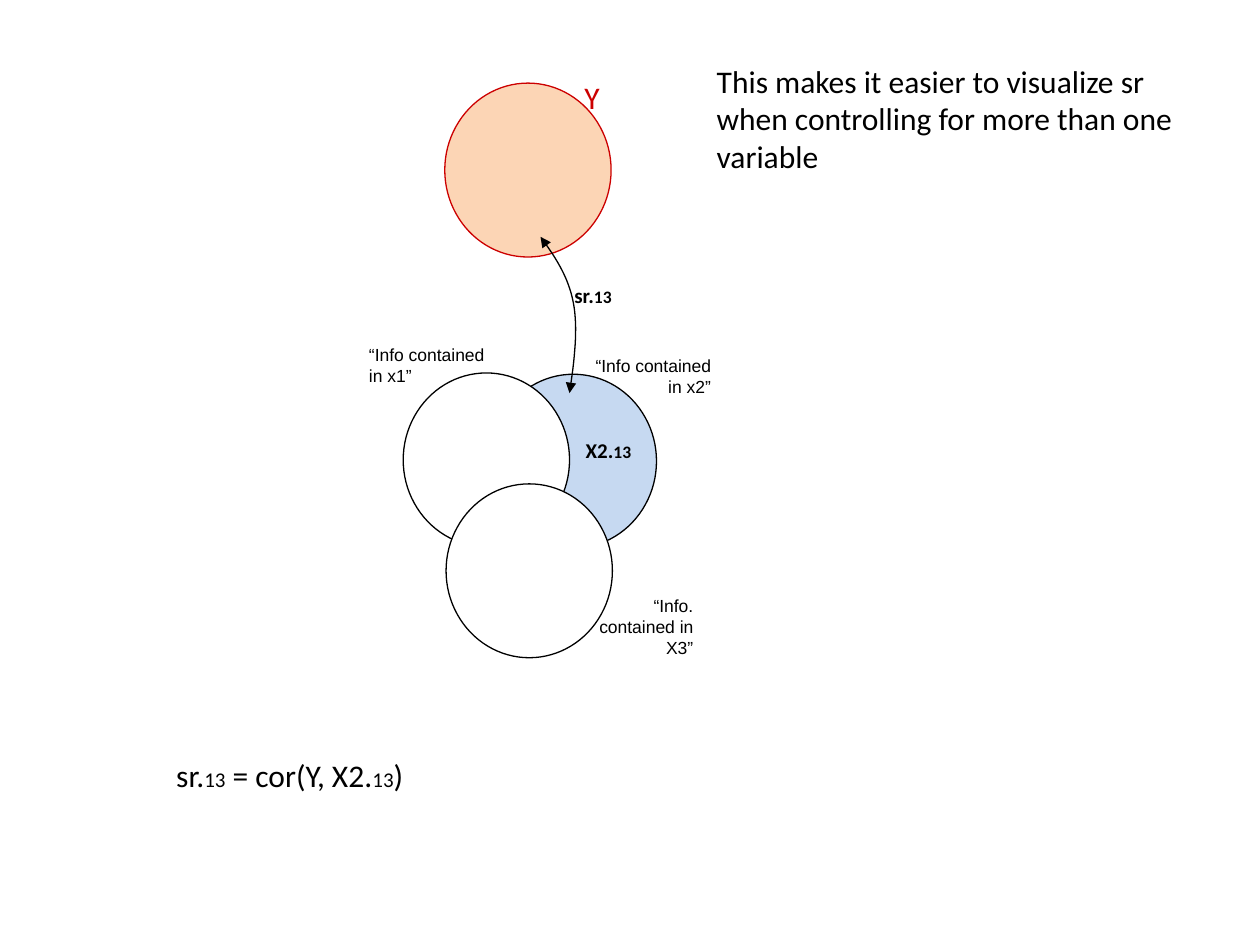
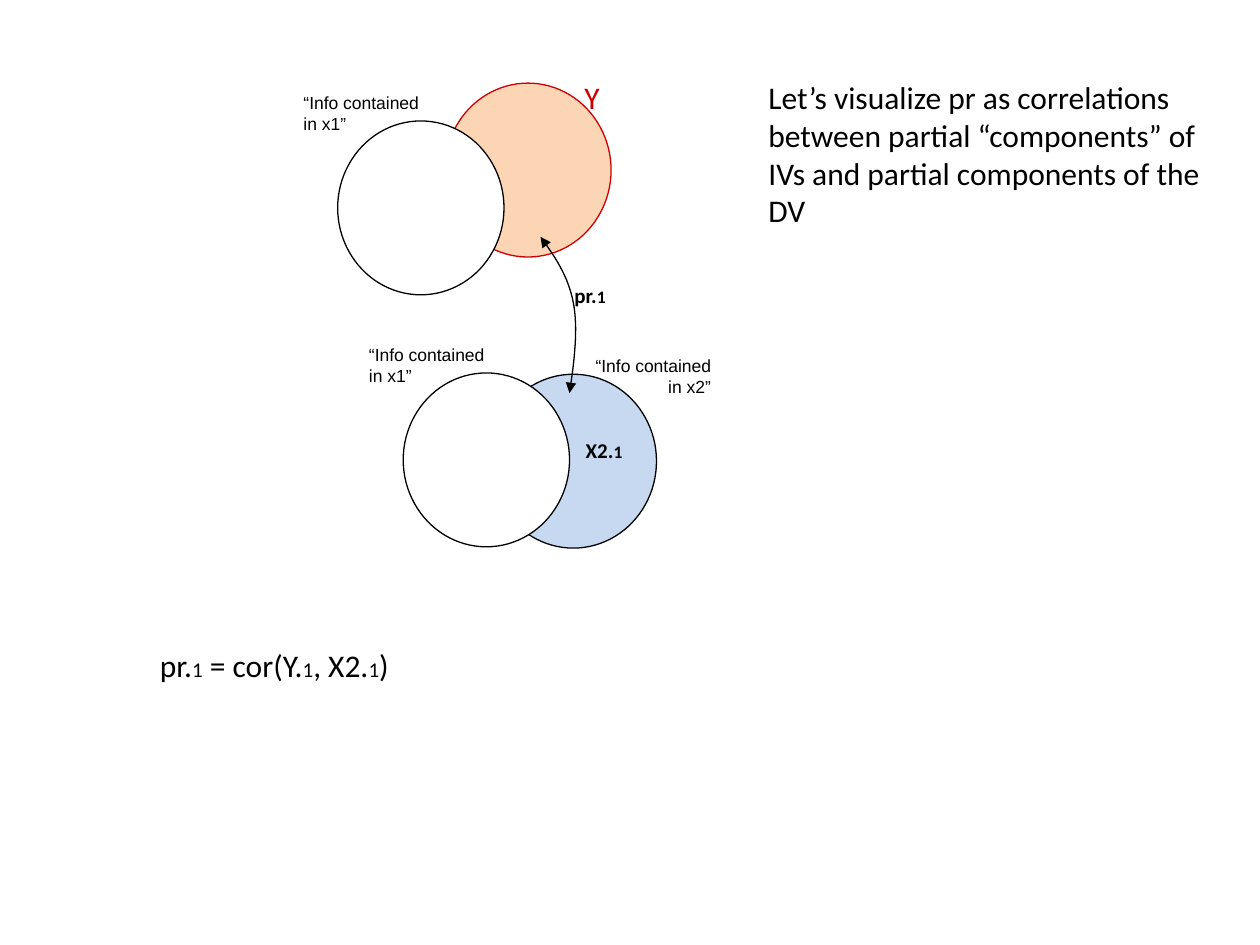
from lxml import etree
from pptx import Presentation
from pptx.dml.color import RGBColor
from pptx.enum.shapes import MSO_SHAPE
from pptx.enum.text import MSO_AUTO_SIZE, PP_ALIGN
from pptx.oxml.ns import qn
from pptx.util import Inches, Pt

OVAL = MSO_SHAPE.OVAL
LEFT, RIGHT = PP_ALIGN.LEFT, PP_ALIGN.RIGHT
GROW = MSO_AUTO_SIZE.SHAPE_TO_FIT_TEXT

BLACK, WHITE, RED = "000000", "FFFFFF", "CC0000"
BLUE, PEACH = "C6D9F1", "FCD5B5"
CIRCLE_SIZE = (1.32, 1.38)
INFO_SIZE = (1.21, 0.43)
CURVE_START = (4.52, 3.12)
CURVES = [((4.56, 2.86), (4.59, 2.6), (4.55, 2.4)),
          ((4.51, 2.19), (4.4, 2.03), (4.29, 1.88))]
STEPS = 16

# Text parts alternate between normal size and subscript size.
SLIDES = [
    {"symbol": ["sr.", "13"], "symbol_width": 0.75,
     "partial": ["X2.", "13"], "partial_width": 0.76,
     "circles": [(3.54, 3.84)],
     "info": [("“Info. contained in X3”", (4.45, 4.67, 1.15, 0.6), RIGHT)],
     "formula": ["sr.", "13", " = cor(Y, X2.", "13", ")"],
     "formula_at": (1.3, 5.95, 7.31, 0.4),
     "remark": "This makes it easier to visualize sr when controlling "
               "for more than one variable",
     "remark_at": (5.59, 0.44, 4, 1)},
    {"symbol": ["pr.", "1"], "symbol_width": 0.52,
     "partial": ["X2.", "1"], "partial_width": 0.62,
     "circles": [(2.68, 0.96)],
     "info": [("“Info contained in x1”", (2.31, 0.68, *INFO_SIZE), LEFT)],
     "formula": ["pr.", "1", " = cor(Y.", "1", ", X2.", "1", ")"],
     "formula_at": (1.17, 5.08, 7.31, 0.4),
     "remark": "Let’s visualize pr as correlations between partial "
               "“components” of IVs and partial components of the DV",
     "remark_at": (6, 0.57, 3.82, 1.31)},
]


def rgb(color):
    return RGBColor.from_string(color)


def add_text(slide, parts, at, sizes=(18, 12), font="Calibri", color=BLACK,
             bold=False, align=LEFT):
    tf = slide.shapes.add_textbox(*map(Inches, at)).text_frame
    tf.word_wrap = True
    tf.auto_size = GROW
    p = tf.paragraphs[0]
    p.alignment = align
    for i, part in enumerate(parts):
        r = p.add_run()
        r.text = part
        r.font.name = font
        r.font.size = Pt(sizes[i % 2])
        r.font.bold = bold
        r.font.color.rgb = rgb(color)


def add_info(slide, text, at, align):
    add_text(slide, [text], at, sizes=(10, 10), font="Arial", align=align)


def add_circle(slide, at, fill=WHITE, line=BLACK):
    sp = slide.shapes.add_shape(OVAL, *map(Inches, (*at, *CIRCLE_SIZE)))
    sp.shadow.inherit = False
    sp.fill.solid()
    sp.fill.fore_color.rgb = rgb(fill)
    sp.line.color.rgb = rgb(line)
    sp.line.width = Pt(0.75)


def bezier(points, t):
    weights = ((1 - t) ** 3, 3 * t * (1 - t) ** 2, 3 * t * t * (1 - t), t ** 3)
    return tuple(Inches(sum(w * pt[axis] for w, pt in zip(weights, points)))
                 for axis in (0, 1))


def add_curve(slide):
    start = CURVE_START
    points = []
    for curve in CURVES:
        points += [bezier((start, *curve), i / STEPS) for i in range(1, STEPS + 1)]
        start = curve[-1]
    builder = slide.shapes.build_freeform(*map(Inches, CURVE_START))
    builder.add_line_segments(points, close=False)
    sp = builder.convert_to_shape()
    sp.shadow.inherit = False
    sp.fill.background()
    sp.line.color.rgb = rgb(BLACK)
    sp.line.width = Pt(0.75)
    ln = sp.line._get_or_add_ln()
    for end in ("a:headEnd", "a:tailEnd"):
        etree.SubElement(ln, qn(end), type="triangle")


prs = Presentation()
prs.slide_width, prs.slide_height = Inches(10), Inches(7.5)
for content in SLIDES:
    slide = prs.slides.add_slide(prs.slide_layouts[6])
    add_circle(slide, (3.89, 2.97), BLUE)
    add_circle(slide, (3.2, 2.96))
    add_info(slide, "“Info contained in x1”", (2.83, 2.68, *INFO_SIZE), LEFT)
    add_info(slide, "“Info contained in x2”", (4.53, 2.77, *INFO_SIZE), RIGHT)
    add_circle(slide, (3.53, 0.66), PEACH, RED)
    add_text(slide, ["Y"], (4.54, 0.57, 0.4, 0.4), color=RED)
    add_text(slide, content["symbol"], (4.46, 2.19, content["symbol_width"], 0.3),
             sizes=(12, 10), bold=True)
    add_text(slide, content["partial"], (4.55, 3.42, content["partial_width"], 0.3),
             sizes=(12, 10), bold=True)
    add_curve(slide)
    for at in content["circles"]:
        add_circle(slide, at)
    for text, at, align in content["info"]:
        add_info(slide, text, at, align)
    add_text(slide, content["formula"], content["formula_at"])
    add_text(slide, [content["remark"]], content["remark_at"])
prs.save("out.pptx")
